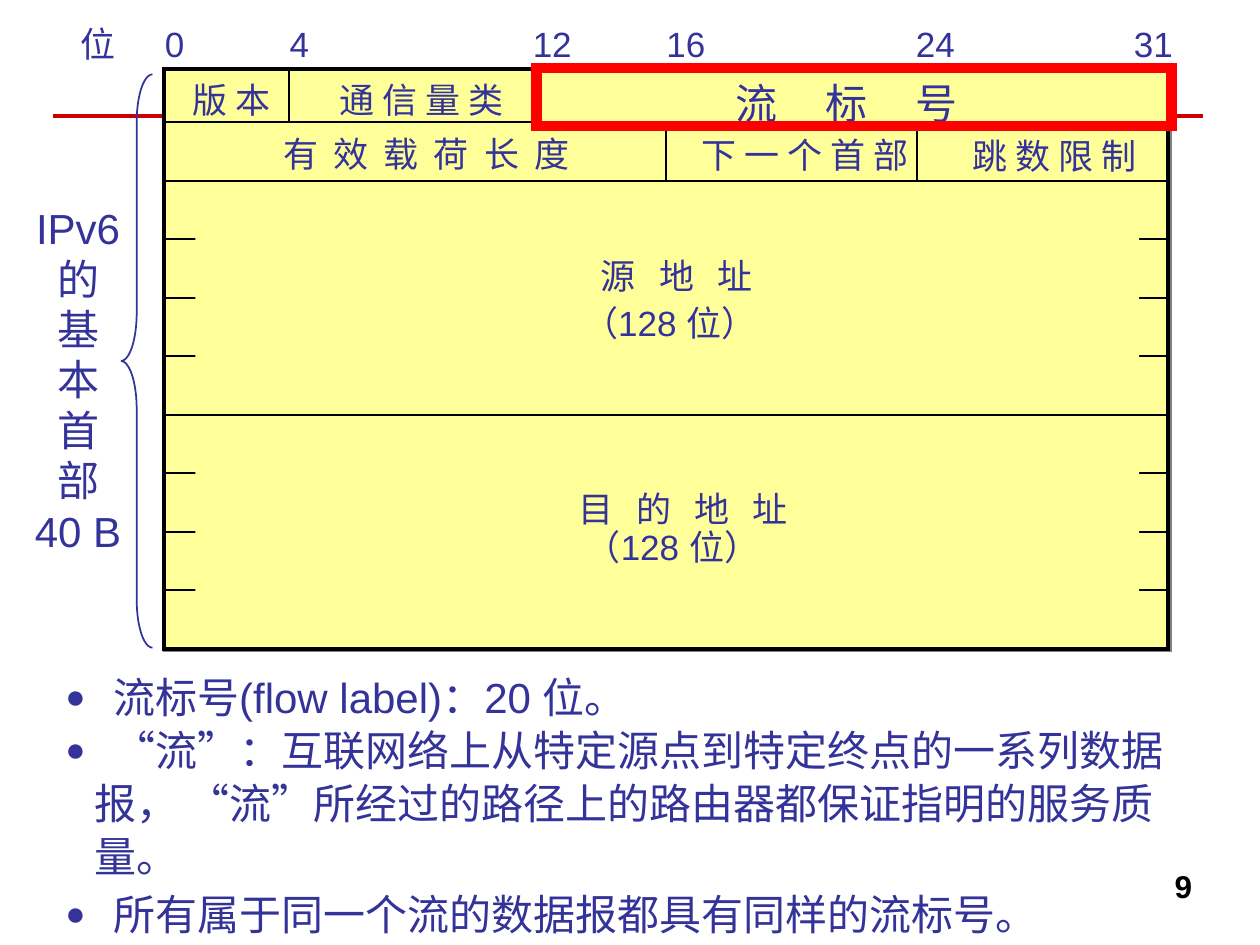
from lxml.etree import SubElement
from pptx import Presentation
from pptx.dml.color import RGBColor
from pptx.enum.shapes import MSO_CONNECTOR, MSO_SHAPE
from pptx.enum.text import PP_ALIGN
from pptx.oxml.ns import qn
from pptx.util import Inches, Pt

COLORS = {
    "text": "333399", "field": "FFFF99", "line": "000000", "rule": "CC0000",
    "highlight": "FF0000", "shadow": "808080", "number": "000000",
}
BITS = 32
ROWS_BELOW = 8


def rgb(name):
    return RGBColor.from_string(COLORS[name])


def add_line(slide, x1, y1, x2, y2, color="line", width=1):
    line = slide.shapes.add_connector(
        MSO_CONNECTOR.STRAIGHT, Inches(x1), Inches(y1), Inches(x2), Inches(y2))
    line.line.color.rgb = rgb(color)
    line.line.width = Pt(width)
    SubElement(line._element.spPr, qn("a:effectLst"))


def add_preset(slide, box, preset=MSO_SHAPE.RECTANGLE, fill=None, line=None, width=1):
    shape = slide.shapes.add_shape(preset, *map(Inches, box))
    shape.shadow.inherit = False
    if fill:
        shape.fill.solid()
        shape.fill.fore_color.rgb = rgb(fill)
    else:
        shape.fill.background()
    if line:
        shape.line.color.rgb = rgb(line)
        shape.line.width = Pt(width)
        SubElement(shape._element.spPr.find(qn("a:ln")), qn("a:miter"), lim="800000")
    else:
        shape.line.fill.background()
    return shape


def add_shadow(shape):
    effects = shape._element.spPr.find(qn("a:effectLst"))
    shadow = SubElement(effects, qn("a:outerShdw"), dist=str(Pt(1.4)), dir="2700000",
                        algn="ctr", rotWithShape="0")
    SubElement(shadow, qn("a:srgbClr"), val=COLORS["shadow"])


def add_text(slide, box, text, size=20, align=PP_ALIGN.LEFT, wrap=False,
             color="text", bold=False, spacing=0):
    """Add a text box; spacing is extra points between characters."""
    text_box = slide.shapes.add_textbox(*map(Inches, box))
    frame = text_box.text_frame
    frame.word_wrap = wrap
    frame.text = text
    for paragraph in frame.paragraphs:
        paragraph.alignment = align
        for run in paragraph.runs:
            run.font.size = Pt(size)
            run.font.name = "Arial"
            run.font.bold = bold
            run.font.color.rgb = rgb(color)
            if spacing:
                run.font._element.set("spc", str(round(spacing * 100)))
    return frame


def add_bit_scale(slide, left, top):
    labels = [("位", -0.76, 0.48), ("0", -0.09, 0.35), ("4", 0.9, 0.35),
              ("12", 2.83, 0.51), ("16", 3.89, 0.51), ("24", 5.87, 0.51),
              ("31", 7.6, 0.51)]
    for label, offset, width in labels:
        add_text(slide, (left + offset, top, width, 0.43), label)


def add_header_diagram(slide, left, top, width, height):
    first_row = 0.42
    row = (height - first_row) / (ROWS_BELOW + 1)

    def bit_x(bit):
        return left + width * bit / BITS

    def row_y(index):
        return top + first_row + row * index

    add_shadow(add_preset(slide, (left, top, width, height), fill="field",
                          line="line", width=2.25))
    for index in range(ROWS_BELOW + 1):
        add_line(slide, left, row_y(index), left + width, row_y(index))
    for bit in (4, 12):
        add_line(slide, bit_x(bit), top, bit_x(bit), row_y(0))
    for bit in (16, 24):
        add_line(slide, bit_x(bit), row_y(0), bit_x(bit), row_y(1))

    # Each address covers the middle of its inner row lines, leaving ticks.
    for first in (1, 5):
        add_preset(slide, (left + 0.25, row_y(first) + 0.31, width - 0.48, 1.24),
                   fill="field")

    fields = [
        ("版 本", 0.13, 0.02, 0.85, 20, 0),
        ("通 信 量 类", 1.3, 0.02, 1.53, 20, 0),
        ("流 标 号", 4.44, 0.02, 2.3, 24, 11),
        ("有 效 载 荷 长 度", 0.85, 0.45, 2.7, 20, 2.1),
        ("下 一 个 首 部", 4.17, 0.46, 1.87, 20, 0),
        ("跳 数 限 制", 6.32, 0.47, 1.53, 20, 0),
        ("源 地 址", 3.37, 1.42, 1.7, 20, 4.4),
        ("（128 位）", 3.23, 1.79, 1.71, 20, 0),
        ("目 的 地 址", 3.19, 3.27, 2.2, 20, 4.4),
        ("（128 位）", 3.25, 3.57, 1.71, 20, 0),
    ]
    for name, x, y, field_width, size, spacing in fields:
        add_text(slide, (left + x, top + y, field_width, 0.43), name, size,
                 spacing=spacing)

    add_preset(slide, (bit_x(12) - 0.03, top - 0.01, 5.04, 0.46),
               line="highlight", width=6)


def add_side_label(slide, left, top, width, height):
    brace = add_preset(slide, (left + width - 0.25, top, 0.25, height),
                       MSO_SHAPE.LEFT_BRACE, line="text")
    brace.adjustments[0] = 1.52
    add_text(slide, (left - 0.06, top + 0.97, 1, 3.3),
             "\n".join(["IPv6", *"的基本首部", "40 B"]), 24, PP_ALIGN.CENTER)


def add_explanation(slide, box):
    notes = [
        "流标号(flow label)：20 位。",
        "“流”：互联网络上从特定源点到特定终点的一系列数据报， "
        "“流”所经过的路径上的路由器都保证指明的服务质量。",
        "所有属于同一个流的数据报都具有同样的流标号。",
    ]
    frame = add_text(slide, box, "\n".join("\t" + note for note in notes), 24, wrap=True)
    for paragraph in frame.paragraphs:
        paragraph.line_spacing = 1.05
        properties = paragraph._p.get_or_add_pPr()
        properties.set("marL", str(Inches(0.23)))
        properties.set("indent", str(-Inches(0.23)))
        properties.set("hangingPunct", "0")
        bullet_color = SubElement(properties, qn("a:buClr"))
        SubElement(bullet_color, qn("a:srgbClr"), val=COLORS["text"])
        SubElement(properties, qn("a:buSzPct"), val="80000")
        SubElement(properties, qn("a:buFont"), typeface="Arial")
        SubElement(properties, qn("a:buChar"), char="●")
        tabs = SubElement(properties, qn("a:tabLst"))
        SubElement(tabs, qn("a:tab"), pos=str(Inches(0.38)), algn="l")
    frame.paragraphs[-1].space_before = Pt(3)


def main():
    presentation = Presentation()
    presentation.slide_width = Inches(10)
    presentation.slide_height = Inches(7.5)
    slide = presentation.slides.add_slide(presentation.slide_layouts[6])

    add_line(slide, 0.42, 0.92, 9.55, 0.92, "rule", 2)
    add_bit_scale(slide, 1.3, 0.13)
    add_header_diagram(slide, 1.3, 0.55, 7.97, 4.6)
    add_side_label(slide, 0.18, 0.59, 1.03, 4.55)
    add_explanation(slide, (0.42, 5.26, 9.23, 1.82))
    add_text(slide, (7.23, 6.83, 2.33, 0.52), "9", 18, PP_ALIGN.RIGHT, True,
             "number", True)
    presentation.save("out.pptx")


if __name__ == "__main__":
    main()
